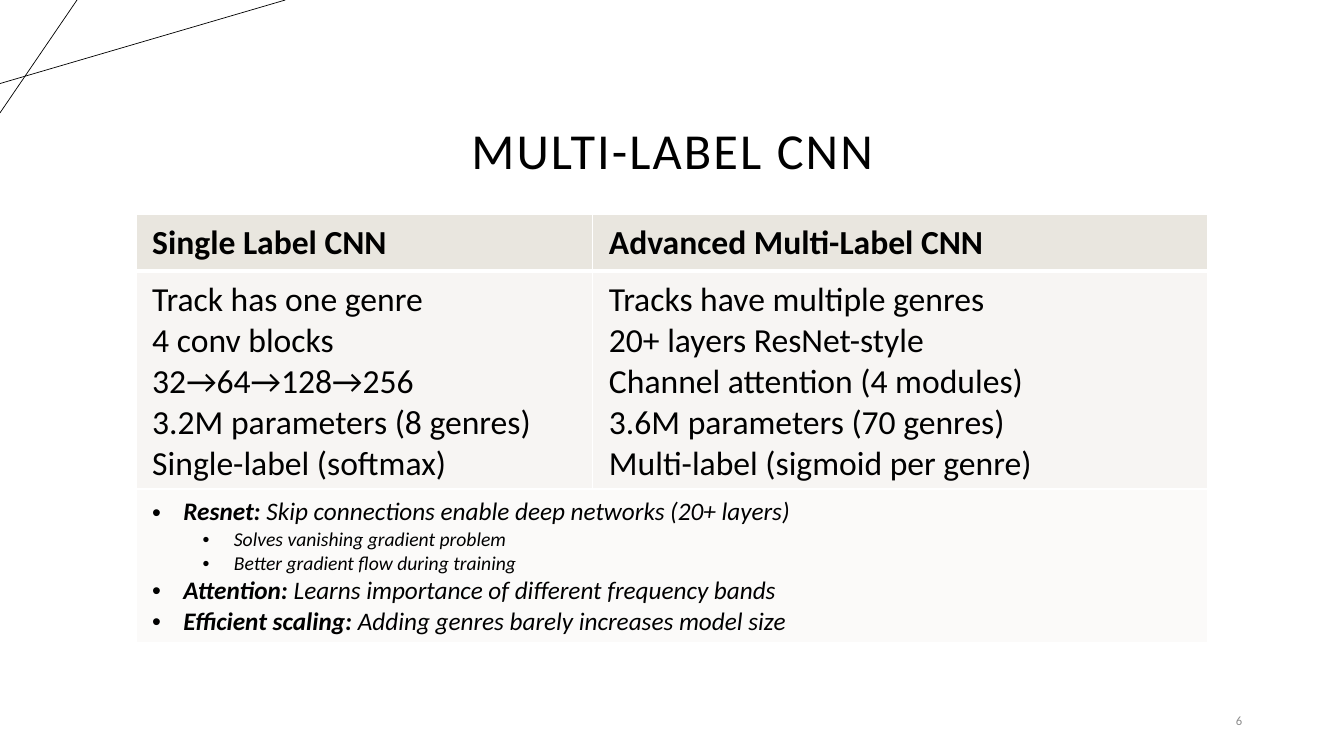
import pptx
import pptx.dml.color
import pptx.enum.shapes
import pptx.enum.text
import pptx.oxml
import pptx.oxml.ns
import pptx.util
from lxml import etree

Inches = pptx.util.Inches
Pt = pptx.util.Pt
PP_ALIGN = pptx.enum.text.PP_ALIGN
MSO_ANCHOR = pptx.enum.text.MSO_ANCHOR

WIDTH, HEIGHT = 13.33, 7.5
FONT = "Calibri"
BLACK, GRAY, WHITE = "000000", "8C8C8C", "FFFFFF"
HEADER_FILL, BODY_FILL, NOTES_FILL = "E9E6DF", "F7F5F3", "FBFAF9"
COLUMNS = (4.53, 6.1)
ROWS = (0.53, 2.1, 1.52)

HEADERS = ("Single Label CNN", "Advanced Multi-Label CNN")
FEATURES = (
    ("Track has one genre", "4 conv blocks", "32→64→128→256",
     "3.2M parameters (8 genres)", "Single-label (softmax)"),
    ("Tracks have multiple genres", "20+ layers ResNet-style",
     "Channel attention (4 modules)", "3.6M parameters (70 genres)",
     "Multi-label (sigmoid per genre)"),
)
# Level, bold lead, remaining text
NOTES = (
    (0, "Resnet: ", "Skip connections enable deep networks (20+ layers)"),
    (1, "", "Solves vanishing gradient problem"),
    (1, "", "Better gradient flow during training"),
    (0, "Attention: ", "Learns importance of different frequency bands"),
    (0, "Efficient scaling: ", "Adding genres barely increases model size"),
)


def color(value):
    return pptx.dml.color.RGBColor.from_string(value)


def write(para, text, size=24, fill=BLACK, bold=False, italic=False, spacing=None):
    span = para.add_run()
    span.text = text
    font = span.font
    font.name, font.size, font.bold, font.italic = FONT, Pt(size), bold, italic
    font.color.rgb = color(fill)
    if spacing is not None:
        span._r.get_or_add_rPr().set("spc", str(round(spacing * 100)))


def paragraphs(frame, count):
    """Return the given number of paragraphs, starting with the one already there."""
    return [frame.paragraphs[0]] + [frame.add_paragraph() for _ in range(count - 1)]


def add_bullet(para, level):
    para.level = level
    properties = para._p.get_or_add_pPr()
    properties.set("marL", str(Inches(0.31 + 0.5 * level)))
    properties.set("indent", str(-Inches(0.31)))
    for tag, name, value in (("buFont", "typeface", "Arial"), ("buChar", "char", "•")):
        etree.SubElement(properties, pptx.oxml.ns.qn("a:" + tag)).set(name, value)


def add_corner_lines(page, left, top, width, height):
    """Cross two thin lines in the corner of the given box."""
    ends = (((0, 0.74), (1, 0)), ((0.27, 0), (0, 1)))
    for start, end in ends:
        points = [Inches(value) for x, y in (start, end)
                  for value in (left + x * width, top + y * height)]
        line = page.shapes.add_connector(
            pptx.enum.shapes.MSO_CONNECTOR.STRAIGHT, *points)
        line.line.color.rgb = color(BLACK)
        line.line.width = Pt(0.5)
        etree.SubElement(line._element.spPr, pptx.oxml.ns.qn("a:effectLst"))


def add_title(page, left, top, width, height):
    title = page.shapes.title
    title.left, title.top = Inches(left), Inches(top)
    title.width, title.height = Inches(width), Inches(height)
    frame = title.text_frame
    frame.word_wrap = True
    frame.auto_size = pptx.enum.text.MSO_AUTO_SIZE.NONE
    frame.vertical_anchor = MSO_ANCHOR.BOTTOM
    para = frame.paragraphs[0]
    para.alignment = PP_ALIGN.CENTER
    para.line_spacing = 0.9
    write(para, "MULTI-LABEL CNN", size=36, spacing=1.5)


def add_page_number(page, left, top, width, height):
    box = page.shapes.add_textbox(*map(Inches, (left, top, width, height)))
    frame = box.text_frame
    frame.word_wrap = True
    frame.vertical_anchor = MSO_ANCHOR.MIDDLE
    para = frame.paragraphs[0]
    para.alignment = PP_ALIGN.RIGHT
    para.space_after = Pt(6)
    write(para, "6", size=9, fill=GRAY)


def format_cell(cell, fill, top=1, bottom=1):
    """Set insets, fill and white borders; top and bottom are widths in points."""
    cell.margin_left = cell.margin_right = Inches(0.16)
    cell.margin_top = cell.margin_bottom = Inches(0.08)
    cell.fill.solid()
    cell.fill.fore_color.rgb = color(fill)
    properties = cell._tc.get_or_add_tcPr()
    borders = (("lnL", 1), ("lnR", 1), ("lnT", top), ("lnB", bottom))
    for index, (tag, width) in enumerate(borders):
        properties.insert(index, pptx.oxml.parse_xml(
            f'<a:{tag} {pptx.oxml.ns.nsdecls("a")} w="{Pt(width)}">'
            f'<a:solidFill><a:srgbClr val="{WHITE}"/></a:solidFill></a:{tag}>'))


def add_comparison(page, left, top, width, height):
    frame = page.shapes.add_table(
        len(ROWS), len(COLUMNS), *map(Inches, (left, top, width, height)))
    table = frame.table
    for column, share in zip(table.columns, COLUMNS):
        column.width = Inches(width * share / sum(COLUMNS))
    for row, share in zip(table.rows, ROWS):
        row.height = Inches(height * share / sum(ROWS))

    for index, (header, features) in enumerate(zip(HEADERS, FEATURES)):
        cell = table.cell(0, index)
        format_cell(cell, HEADER_FILL, bottom=3)
        write(cell.text_frame.paragraphs[0], header, bold=True)
        cell = table.cell(1, index)
        format_cell(cell, BODY_FILL, top=3)
        for para, feature in zip(paragraphs(cell.text_frame, len(features)), features):
            write(para, feature)
        format_cell(table.cell(2, index), NOTES_FILL)

    notes = table.cell(2, 0)
    notes.merge(table.cell(2, 1))
    for para, (level, lead, text) in zip(paragraphs(notes.text_frame, len(NOTES)), NOTES):
        add_bullet(para, level)
        size = 14 if level else 18
        if lead:
            write(para, lead, size=size, bold=True, italic=True)
        write(para, text, size=size, italic=True)


def main():
    deck = pptx.Presentation()
    deck.slide_width, deck.slide_height = Inches(WIDTH), Inches(HEIGHT)
    page = deck.slides.add_slide(deck.slide_layouts.get_by_name("Title Only"))
    page.background.fill.solid()
    page.background.fill.fore_color.rgb = color(WHITE)
    add_corner_lines(page, 0, 0, 2.83, 1.12)
    add_title(page, 0.92, 0.39, 11.5, 1.45)
    add_page_number(page, 11.34, 6.95, 1.08, 0.4)
    add_comparison(page, 1.35, 2.13, sum(COLUMNS), sum(ROWS))
    deck.save("out.pptx")


if __name__ == "__main__":
    main()
